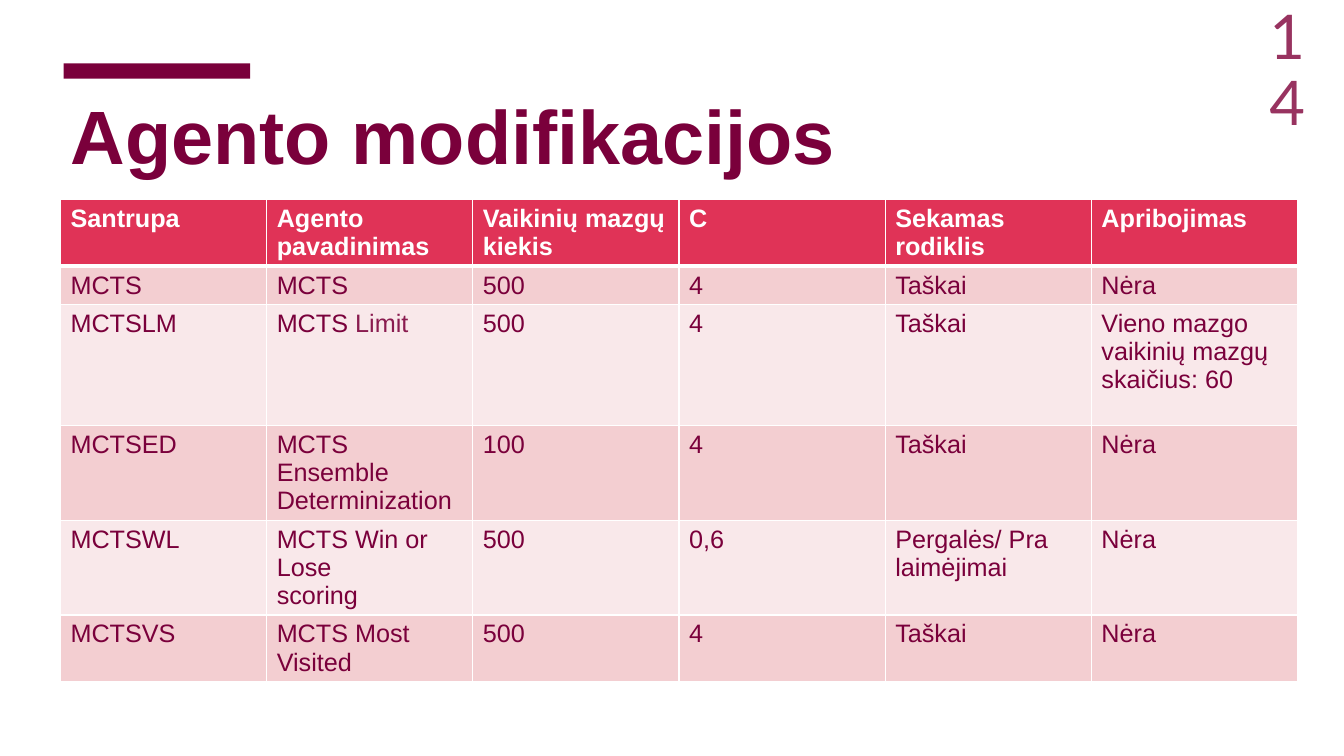
from collections import namedtuple

from lxml import etree
from pptx import Presentation
from pptx import util as u
from pptx.dml.color import RGBColor
from pptx.enum import shapes, text
from pptx.oxml.ns import qn

Theme = namedtuple("Theme", "plum soft_plum number header bands white font number_font "
                            "title_size number_size cell_size")
theme = Theme("7A003B", "8A1B4F", "983360", "E03357", ("F3CED1", "F9E8EA"), "FFFFFF",
              "Arial", "Lato", 54, 44, 18)


def add_run(p, words, size, color, bold=False, font=theme.font):
    r = p.add_run()
    r.text = words
    r.font.name = font
    r.font.size = u.Pt(size)
    r.font.bold = bold
    r.font.color.rgb = RGBColor.from_string(color)


def add_border(cell, index, side, points):
    ln = etree.Element(qn(f"a:ln{side}"), w=str(u.Pt(points)))
    fill = etree.SubElement(ln, qn("a:solidFill"))
    etree.SubElement(fill, qn("a:srgbClr"), val=theme.white)
    cell._tc.get_or_add_tcPr().insert(index, ln)


prs = Presentation()
prs.slide_width, prs.slide_height = u.Inches(13.33), u.Inches(7.5)
s = prs.slides.add_slide(prs.slide_layouts[5])

# Accent bar
bar = s.shapes.add_shape(shapes.MSO_SHAPE.RECTANGLE, u.Inches(0.63), u.Inches(0.63),
                         u.Inches(1.85), u.Inches(0.15))
bar.shadow.inherit = False
bar.fill.solid()
bar.fill.fore_color.rgb = RGBColor.from_string(theme.plum)
bar.line.fill.background()

# Title
title = s.shapes.title
title.left, title.top = u.Inches(0.6), u.Inches(0.93)
title.width, title.height = u.Inches(11.76), u.Inches(1.45)
tf = title.text_frame
tf.word_wrap = True
tf.auto_size = text.MSO_AUTO_SIZE.NONE
tf.vertical_anchor = text.MSO_ANCHOR.TOP
p = tf.paragraphs[0]
p.alignment = text.PP_ALIGN.LEFT
p.line_spacing = 0.9
add_run(p, "Agento modifikacijos", theme.title_size, theme.plum, bold=True)

# Table of agents: a cell is a text or a list of coloured runs
rows = [
    ["Santrupa", "Agento pavadinimas", "Vaikinių mazgų kiekis", "C", "Sekamas rodiklis",
     "Apribojimas"],
    ["MCTS", "MCTS", "500", "4", "Taškai", "Nėra"],
    ["MCTSLM", [("MCTS ", theme.plum), ("Limit", theme.soft_plum)], "500", "4", "Taškai",
     "Vieno mazgo vaikinių mazgų skaičius: 60"],
    ["MCTSED", "MCTS Ensemble\nDeterminization", "100", "4", "Taškai", "Nėra"],
    ["MCTSWL", "MCTS Win or Lose\nscoring", "500", "0,6", "Pergalės/ Pra\nlaimėjimai", "Nėra"],
    ["MCTSVS", "MCTS Most Visited", "500", "4", "Taškai", "Nėra"],
]
heights = [0.65, 0.38, 1.2, 0.93, 0.93, 0.65]
table = s.shapes.add_table(len(rows), len(rows[0]), u.Inches(0.6), u.Inches(1.98),
                           u.Inches(12.27), u.Inches(sum(heights))).table
for i, (row, height) in enumerate(zip(rows, heights)):
    table.rows[i].height = u.Inches(height)
    is_header = i == 0
    fill = theme.header if is_header else theme.bands[(i - 1) % 2]
    color = theme.white if is_header else theme.plum
    for j, content in enumerate(row):
        cell = table.cell(i, j)
        cell.fill.solid()
        cell.fill.fore_color.rgb = RGBColor.from_string(fill)
        top = 3 if i == 1 else 1
        bottom = 3 if is_header else 1
        for k, (side, points) in enumerate(zip("LRTB", (1, 1, top, bottom))):
            add_border(cell, k, side, points)
        p = cell.text_frame.paragraphs[0]
        runs = [(content, color)] if isinstance(content, str) else content
        for words, run_color in runs:
            for n, line in enumerate(words.split("\n")):
                if n:
                    p.add_line_break()
                add_run(p, line, theme.cell_size, run_color, bold=is_header)

# Slide number
number = s.shapes.add_textbox(u.Inches(12.49), u.Inches(0.01), u.Inches(0.85), u.Inches(0.8))
tf = number.text_frame
tf.word_wrap = True
p = tf.paragraphs[0]
p.line_spacing = 0.9
add_run(p, "14", theme.number_size, theme.number, font=theme.number_font)

prs.save("out.pptx")
